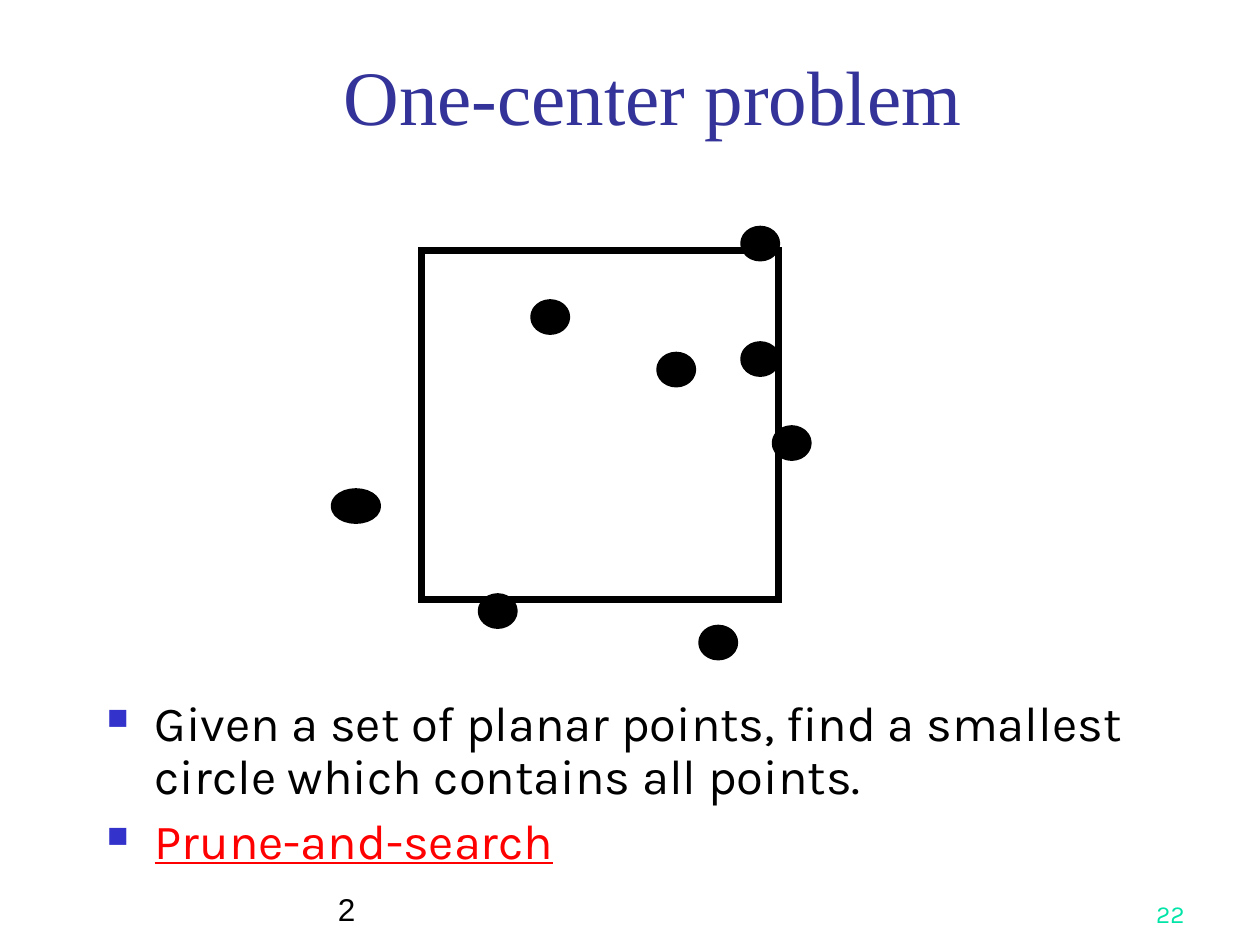
from dataclasses import dataclass

from lxml import etree
from pptx import Presentation
from pptx.dml.color import RGBColor
from pptx.enum.shapes import MSO_SHAPE
from pptx.enum.text import MSO_ANCHOR, MSO_AUTO_SIZE, PP_ALIGN
from pptx.oxml.ns import qn
from pptx.util import Inches, Pt

RECT, OVAL = MSO_SHAPE.RECTANGLE, MSO_SHAPE.OVAL
TOP, BOTTOM = MSO_ANCHOR.TOP, MSO_ANCHOR.BOTTOM
LEFT, CENTER, RIGHT = PP_ALIGN.LEFT, PP_ALIGN.CENTER, PP_ALIGN.RIGHT
NO_FIT = MSO_AUTO_SIZE.NONE
WIDTH, HEIGHT = Inches(10), Inches(7.5)
COLS, ROWS = 120, 90


@dataclass(frozen=True)
class Theme:
    ink: str = "000000"
    title: str = "333399"
    bullet: str = "3333CC"
    key: str = "FF0000"
    page: str = "00E4A8"
    serif: str = "Times New Roman"
    sans: str = "Karla"
    plain: str = "Arial"
    head: int = 44
    body: int = 28
    note: int = 18
    small: int = 14


THEME = Theme()


def place(box):
    x, y, w, h = box
    return (int(WIDTH * x / COLS), int(HEIGHT * y / ROWS),
            int(WIDTH * w / COLS), int(HEIGHT * h / ROWS))


def style(para, face, size, color):
    for run in para.runs:
        run.font.name = face
        run.font.size = Pt(size)
        run.font.color.rgb = RGBColor.from_string(color)


def add_title(slide, box, text):
    title = slide.shapes.title
    title.left, title.top, title.width, title.height = place(box)
    frame = title.text_frame
    frame.text = text
    frame.auto_size = NO_FIT
    frame.vertical_anchor = BOTTOM
    para = frame.paragraphs[0]
    para.alignment = CENTER
    style(para, THEME.serif, THEME.head, THEME.title)


def add_mark(slide, kind, box, weight):
    mark = slide.shapes.add_shape(kind, *place(box))
    mark.shadow.inherit = False
    mark.line.color.rgb = RGBColor.from_string(THEME.ink)
    mark.line.width = Pt(weight)
    return mark


def add_points(slide, box):
    x, y, w, h = box
    square = add_mark(slide, RECT, (x + 8.1, y + 1.9, 34, 33.2), 4)
    square.fill.background()
    edge = square.line.fill._xPr
    etree.SubElement(edge, qn("a:miter"), lim="800000")
    dots = [(0, 25, 3.8), (19, 7, 2.8), (39, 11, 2.8), (42, 19, 2.8),
            (39, 0, 2.8), (31, 12, 2.8), (14, 35, 2.8), (35, 38, 2.8)]
    for col, row, wide in dots:
        dot = add_mark(slide, OVAL, (x + col, y + row, wide, 2.4), 6)
        dot.fill.solid()
        dot.fill.fore_color.rgb = RGBColor.from_string(THEME.ink)


def add_frame(slide, box, anchor):
    frame = slide.shapes.add_textbox(*place(box)).text_frame
    frame.word_wrap = True
    frame.vertical_anchor = anchor
    return frame


def add_bullet(para):
    props = para._p.get_or_add_pPr()
    props.set("marL", str(Inches(0.38)))
    props.set("indent", str(-Inches(0.38)))
    tint = etree.SubElement(props, qn("a:buClr"))
    etree.SubElement(tint, qn("a:srgbClr"), val=THEME.bullet)
    etree.SubElement(props, qn("a:buSzPct"), val="60000")
    etree.SubElement(props, qn("a:buChar"), char="■")


def add_list(slide, box, items):
    frame = add_frame(slide, box, TOP)
    frame.text = "\n".join(text for text, key in items)
    for rank, (para, (text, key)) in enumerate(zip(frame.paragraphs, items)):
        add_bullet(para)
        para.line_spacing = 0.9
        para.space_before = Pt(7 if rank else 0)
        style(para, THEME.sans, THEME.body, THEME.key if key else THEME.ink)
        para.runs[0].font.underline = key


def add_note(slide, box, text, align, face, size, color):
    frame = add_frame(slide, box, BOTTOM)
    frame.text = text
    para = frame.paragraphs[0]
    para.alignment = align
    style(para, face, size, color)


def main():
    deck = Presentation()
    deck.slide_width, deck.slide_height = WIDTH, HEIGHT
    slide = deck.slides.add_slide(deck.slide_layouts[5])
    add_title(slide, (12, 3, 102.2, 11), "One-center problem ")
    add_points(slide, (32, 22, 45, 41))
    add_list(slide, (9, 66, 102, 18), [
        ("Given a set of planar points, find a smallest circle "
         "which contains all points.", False),
        ("Prune-and-search", True),
    ])
    add_note(slide, (31, 83, 64, 6), "2", LEFT,
             THEME.plain, THEME.note, THEME.ink)
    add_note(slide, (89, 83, 25, 6), "22", RIGHT,
             THEME.sans, THEME.small, THEME.page)
    deck.save("out.pptx")


if __name__ == "__main__":
    main()
